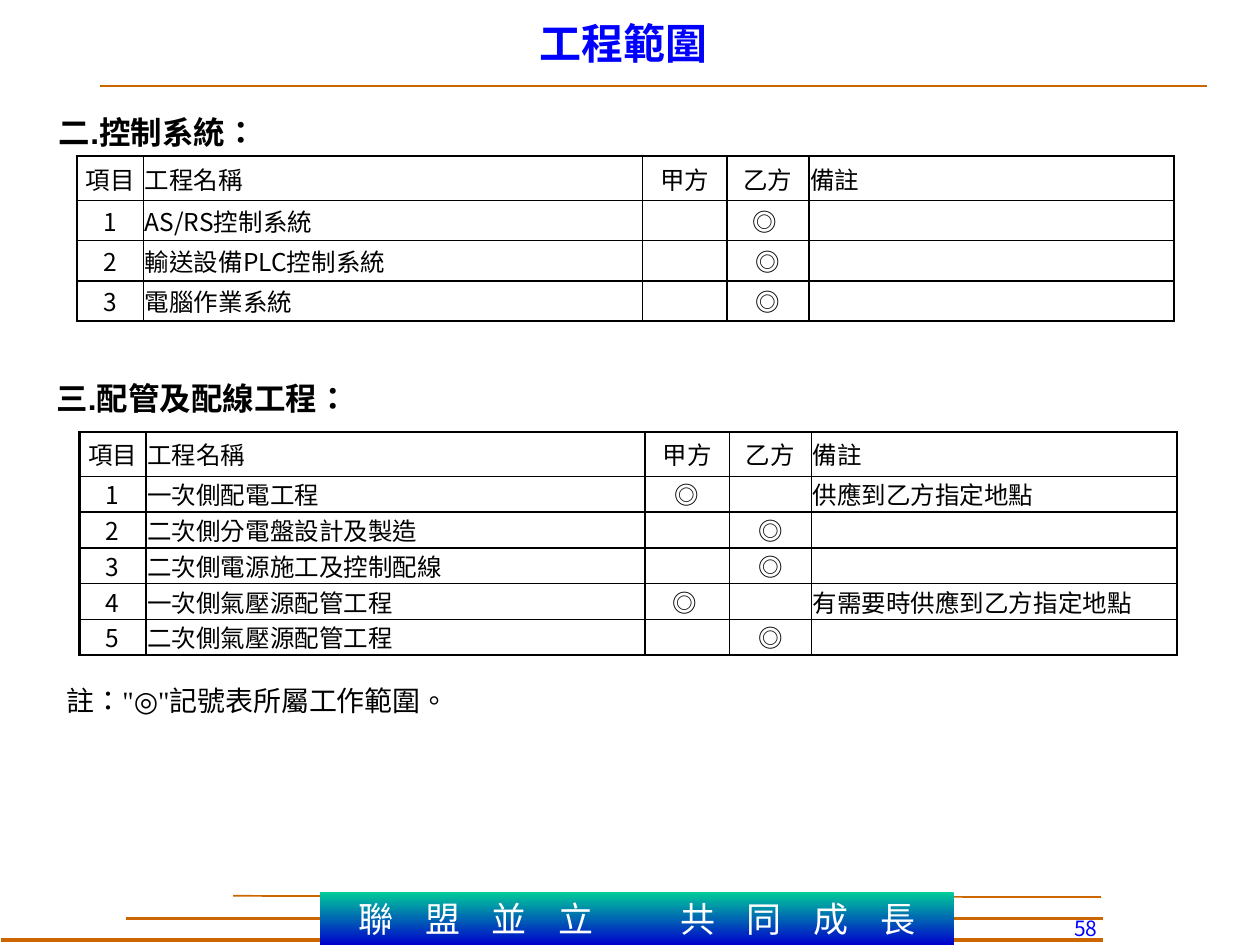
from dataclasses import dataclass
from typing import NamedTuple

from lxml import etree
from pptx import Presentation
from pptx.dml.color import RGBColor
from pptx.enum import lang, shapes, text
from pptx.oxml import ns
from pptx import util as u

PX = 9144  # one px is a hundredth of an inch


@dataclass(frozen=True)
class Theme:
    black: str = "000000"
    white: str = "FFFFFF"
    blue: str = "0000FF"
    orange: str = "CC6600"
    banner_top: str = "00CC99"
    banner_bottom: str = "0000CC"
    heading_font: str = "Arial"
    note_font: str = "Times New Roman"
    table_font: str = "Noto Sans CJK SC"
    title_size: int = 24
    banner_size: int = 20
    heading_size: int = 18
    note_size: int = 16
    table_size: int = 14
    number_size: int = 12
    outer_border: float = 1.5
    inner_border: float = 1


THEME = Theme()
LEFT, CENTER, RIGHT = (text.PP_ALIGN.LEFT, text.PP_ALIGN.CENTER,
                       text.PP_ALIGN.RIGHT)


class Box(NamedTuple):
    left: int
    top: int
    width: int
    height: int


class Rule(NamedTuple):
    start: tuple[int, int]
    end: tuple[int, int]
    weight: float


class Style(NamedTuple):
    font: str
    size: int
    color: str
    bold: bool = False


class Label(NamedTuple):
    content: str
    box: Box
    style: Style
    align: text.PP_ALIGN = LEFT
    anchor: text.MSO_ANCHOR = text.MSO_ANCHOR.MIDDLE
    wrap: bool = True


class ScopeTable(NamedTuple):
    left: int
    top: int
    row_height: int
    rows: list[tuple[str, str, str, str]]


HEADING = Style(THEME.heading_font, THEME.heading_size, THEME.black, True)
NOTE = Style(THEME.note_font, THEME.note_size, THEME.black)
TITLE = Style(THEME.heading_font, THEME.title_size, THEME.blue, True)
NUMBER = Style(THEME.table_font, THEME.number_size, THEME.blue)
BANNER = Style(THEME.note_font, THEME.banner_size, THEME.white)
CELL = Style(THEME.table_font, THEME.table_size, THEME.black)

RULES = [
    Rule((79, 68), (958, 68), 1),
    Rule((100, 729), (875, 729), 1.75),
    Rule((185, 711), (874, 712), 1),
    Rule((1, 746), (875, 746), 2.5),
]
BANNER_BOX = Box(254, 708, 503, 42)
BANNER_RUNS = [("聯 盟 並 立", 6.8), (" ", 38), ("共 同 成 長", 6.8)]  # text, tracking

LABELS = [
    Label("二.控制系統：", Box(37, 85, 210, 40), HEADING),
    Label("三.配管及配線工程：", Box(35, 296, 300, 40), HEADING),
    Label('註："◎"記號表所屬工作範圍。', Box(43, 540, 331, 31), NOTE, wrap=False),
    Label("工程範圍", Box(406, 9, 178, 51), TITLE, CENTER, text.MSO_ANCHOR.TOP),
    Label("58", Box(826, 722, 55, 28), NUMBER, RIGHT, text.MSO_ANCHOR.TOP),
]

HEADER = ("項目", "工程名稱", "甲方", "乙方", "備註")
HEADER_HEIGHT = 35
COLUMN_WIDTHS = (53, 396, 67, 65, 290)
COLUMN_ALIGNS = (CENTER, LEFT, CENTER, CENTER, LEFT)
TABLES = [
    ScopeTable(61, 124, 32, [
        ("AS/RS控制系統", "", "◎ ", ""),
        ("輸送設備PLC控制系統", "", "◎", ""),
        ("電腦作業系統", "", "◎", ""),
    ]),
    ScopeTable(63, 343, 28, [
        ("一次側配電工程", "◎", "", "供應到乙方指定地點"),
        ("二次側分電盤設計及製造", "", "◎", ""),
        ("二次側電源施工及控制配線", "", "◎", ""),
        ("一次側氣壓源配管工程", "◎ ", "", "有需要時供應到乙方指定地點"),
        ("二次側氣壓源配管工程", "", "◎", ""),
    ]),
]


def set_all(target, values: dict) -> None:
    for name, value in values.items():
        setattr(target, name, value)


def scaled(box: Box) -> list[int]:
    return [length * PX for length in box]


def add_run(paragraph, content: str, style: Style):
    run = paragraph.add_run()
    run.text = content
    set_all(run.font, {
        "name": style.font, "size": u.Pt(style.size), "bold": style.bold,
        "language_id": lang.MSO_LANGUAGE_ID.TRADITIONAL_CHINESE})
    run.font.color.rgb = RGBColor.from_string(style.color)
    return run


def draw_rule(slide, rule: Rule) -> None:
    points = [length * PX for length in (*rule.start, *rule.end)]
    connector = slide.shapes.add_connector(shapes.MSO_CONNECTOR.STRAIGHT, *points)
    connector.line.width = u.Pt(rule.weight)
    connector.line.color.rgb = RGBColor.from_string(THEME.orange)
    etree.SubElement(connector._element.spPr, ns.qn("a:effectLst"))


def draw_banner(slide) -> None:
    shape = slide.shapes.add_shape(shapes.MSO_SHAPE.RECTANGLE, *scaled(BANNER_BOX))
    shape.shadow.inherit = False
    shape.line.fill.background()
    shape.fill.gradient()
    shape.fill.gradient_angle = 270
    colors = (THEME.banner_top, THEME.banner_bottom)
    for stop, color in zip(shape.fill.gradient_stops, colors):
        stop.color.rgb = RGBColor.from_string(color)
    set_all(shape.text_frame, {
        "word_wrap": False, "vertical_anchor": text.MSO_ANCHOR.MIDDLE})
    paragraph = shape.text_frame.paragraphs[0]
    paragraph.alignment = CENTER
    for content, tracking in BANNER_RUNS:
        run = add_run(paragraph, content, BANNER)
        run._r.get_or_add_rPr().set("spc", str(round(tracking * 100)))


def draw_label(slide, label: Label) -> None:
    shape = slide.shapes.add_textbox(*scaled(label.box))
    set_all(shape.text_frame, {
        "word_wrap": label.wrap, "vertical_anchor": label.anchor})
    paragraph = shape.text_frame.paragraphs[0]
    paragraph.alignment = label.align
    add_run(paragraph, label.content, label.style)


def set_borders(cell, outer: dict[str, bool]) -> None:
    properties = cell._tc.get_or_add_tcPr()
    for side, is_outer in outer.items():
        weight = THEME.outer_border if is_outer else THEME.inner_border
        line = etree.SubElement(properties, ns.qn(f"a:ln{side}"), w=str(u.Pt(weight)))
        fill = etree.SubElement(line, ns.qn("a:solidFill"))
        etree.SubElement(fill, ns.qn("a:srgbClr"), val=THEME.black)


def draw_table(slide, scope: ScopeTable) -> None:
    rows = [HEADER] + [(str(i), *row) for i, row in enumerate(scope.rows, 1)]
    heights = [HEADER_HEIGHT] + [scope.row_height] * len(scope.rows)
    box = Box(scope.left, scope.top, sum(COLUMN_WIDTHS), sum(heights))
    table = slide.shapes.add_table(len(rows), len(HEADER), *scaled(box)).table
    set_all(table, {"first_row": False, "horz_banding": False})
    for column, width in zip(table.columns, COLUMN_WIDTHS):
        column.width = width * PX
    for r, (values, height) in enumerate(zip(rows, heights)):
        table.rows[r].height = height * PX
        for c, (value, align) in enumerate(zip(values, COLUMN_ALIGNS)):
            cell = table.cell(r, c)
            set_all(cell, {
                "margin_left": PX, "margin_right": PX, "margin_top": 0,
                "margin_bottom": 0, "vertical_anchor": text.MSO_ANCHOR.MIDDLE})
            set_borders(cell, {"L": c == 0, "R": c == len(HEADER) - 1,
                               "T": r == 0, "B": r == len(rows) - 1})
            cell.fill.background()
            paragraph = cell.text_frame.paragraphs[0]
            paragraph.alignment = align
            if value:
                add_run(paragraph, value, CELL)
            else:  # keeps empty cells from stretching the row
                etree.SubElement(paragraph._p, ns.qn("a:endParaRPr"),
                                 sz=str(CELL.size * 100))


def main() -> None:
    presentation = Presentation()
    set_all(presentation, {"slide_width": 1000 * PX, "slide_height": 750 * PX})
    slide = presentation.slides.add_slide(presentation.slide_layouts[6])
    # Rules and banner
    for rule in RULES:
        draw_rule(slide, rule)
    draw_banner(slide)
    # Tables, headings, note, title and page number
    for scope in TABLES:
        draw_table(slide, scope)
    for label in LABELS:
        draw_label(slide, label)
    presentation.save("out.pptx")


if __name__ == "__main__":
    main()
